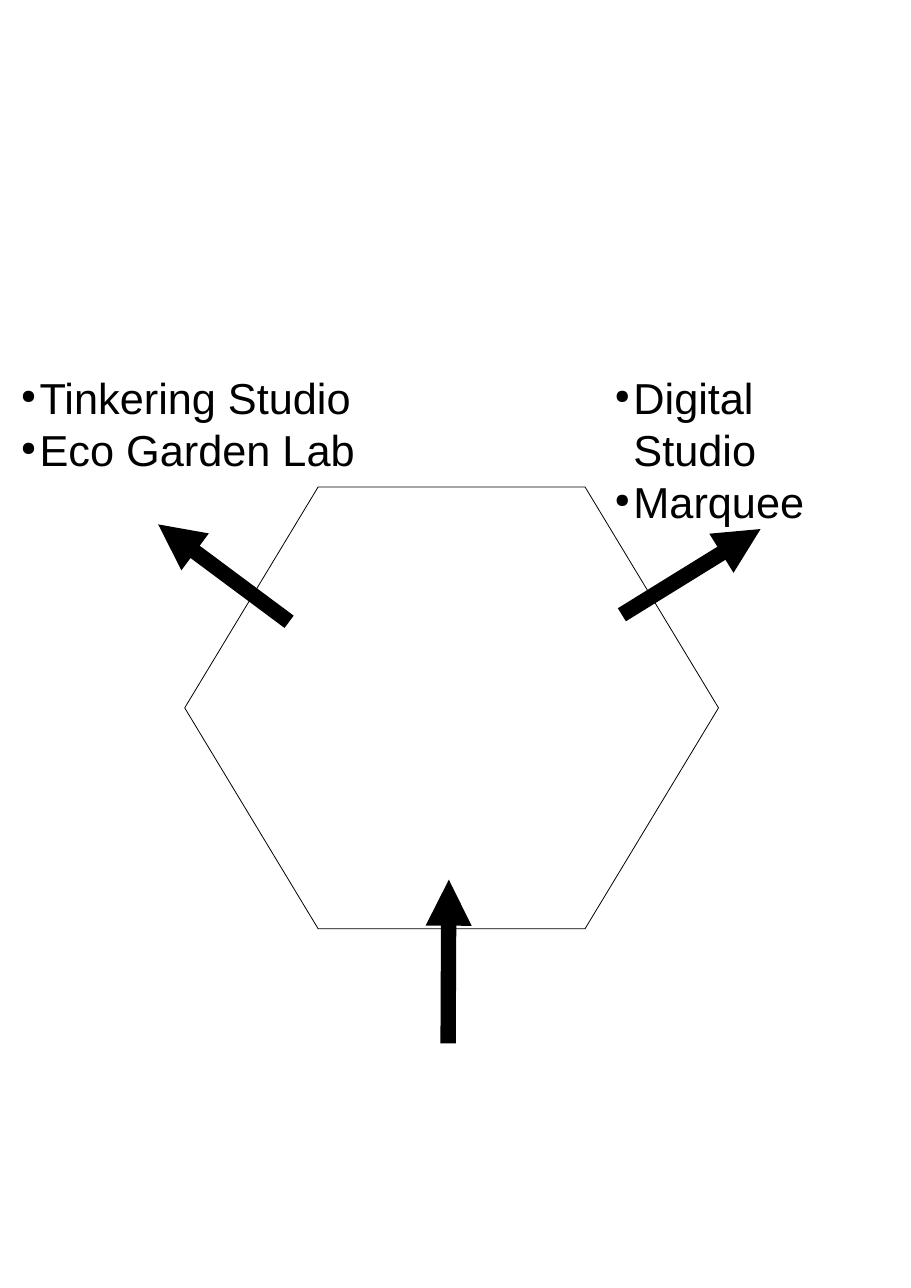
"""Build a hexagonal floor plan with one entrance and two labelled exits."""
from lxml.etree import SubElement
from pptx import Presentation
from pptx.dml.color import RGBColor
from pptx.enum.shapes import MSO_CONNECTOR as Connector, MSO_SHAPE as Shape
from pptx.enum.text import MSO_AUTO_SIZE as AutoSize
from pptx.oxml.ns import qn
from pptx.util import Inches, Pt

BLACK = RGBColor(0, 0, 0)
WHITE = RGBColor(255, 255, 255)

deck = Presentation()
deck.slide_width, deck.slide_height = Inches(11.69), Inches(16.53)
page = deck.slides.add_slide(deck.slide_layouts[6])

room = page.shapes.add_shape(
    Shape.HEXAGON, Inches(2.37), Inches(6.25), Inches(6.85), Inches(5.67))
room.adjustments[0] = 0.302
room.shadow.inherit = False
room.fill.solid()
room.fill.fore_color.rgb = WHITE
room.line.color.rgb = BLACK
room.line.width = Pt(0)

arrows = [
    (5.75, 13.39, 5.76, 11.29),
    (3.71, 7.98, 2.03, 6.73),
    (7.98, 7.89, 9.76, 6.79),
]
for ends in arrows:
    arrow = page.shapes.add_connector(
        Connector.STRAIGHT, *[Inches(value) for value in ends])
    arrow.line.color.rgb = BLACK
    arrow.line.width = Pt(14.17)
    SubElement(arrow.line._get_or_add_ln(), qn("a:tailEnd"), type="triangle")
    SubElement(arrow._element.spPr, qn("a:effectLst"))

labels = [
    (0.17, 4.48, ["Tinkering Studio", "Eco Garden Lab"]),
    (7.79, 3.7, ["Digital Studio", "Marquee"]),
]
for left, width, names in labels:
    box = page.shapes.add_textbox(
        Inches(left), Inches(4.72), Inches(width), Inches(1.34))
    frame = box.text_frame
    frame.word_wrap = False
    frame.auto_size = AutoSize.SHAPE_TO_FIT_TEXT
    for index, name in enumerate(names):
        para = frame.add_paragraph() if index else frame.paragraphs[0]
        props = para._p.get_or_add_pPr()
        props.set("marL", str(Inches(0.24)))
        props.set("indent", str(-Inches(0.24)))
        colour = SubElement(props, qn("a:buClr"))
        SubElement(colour, qn("a:srgbClr"), val=str(BLACK))
        SubElement(props, qn("a:buSzPct"), val="45000")
        SubElement(props, qn("a:buChar"), char="●")
        span = para.add_run()
        span.text = name
        span.font.name = "Arial"
        span.font.size = Pt(40)
        span.font.color.rgb = BLACK

deck.save("out.pptx")
